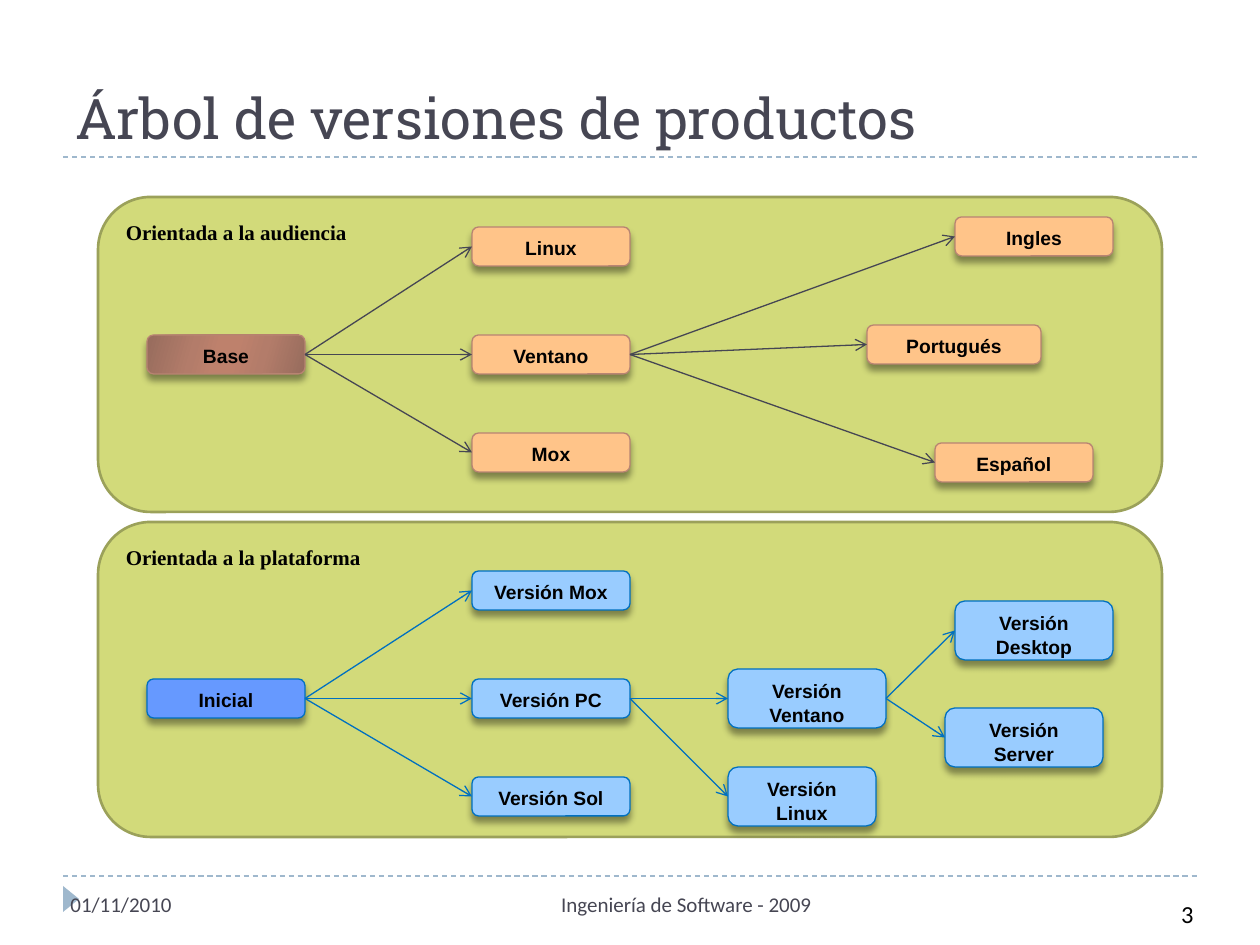
from lxml import etree
from pptx import Presentation, util as u
from pptx.dml.color import RGBColor
from pptx.enum import dml, shapes, text
from pptx.oxml import parse_xml
from pptx.oxml.ns import nsdecls, qn

SCALE = 914400 / 126
NODE_W, NODE_H, TALL_H = 158, 39, 59
DARK, MIST = "464653", "9FB8CD"
NODE_FONT = {"name": "Arial", "size": u.Pt(11), "bold": True}
LABEL_FONT = {"name": "Times New Roman", "size": u.Pt(12), "bold": True}
BASE_STOPS = [(0, "976C5D"), (30, "B37C6A"), (45, "BE816C"),
              (55, "BE816C"), (73, "B37C6A"), (100, "976C5D")]


def px(n):
    return u.Emu(round(n * SCALE))


def box_emu(*lengths):
    return [px(n) for n in lengths]


def rgb(value):
    return RGBColor.from_string(value)


def write(frame, words, font, color="000000", align=text.PP_ALIGN.LEFT, spacing=None):
    frame.word_wrap = True
    frame.text = words
    for paragraph in frame.paragraphs:
        paragraph.alignment = align
        paragraph.line_spacing = spacing
        for key, value in font.items():
            setattr(paragraph.font, key, value)
        paragraph.font.color.rgb = rgb(color)


def add_bullet(paragraph, hang):
    props = paragraph._p.get_or_add_pPr()
    props.set("marL", str(px(hang)))
    props.set("indent", str(-px(hang)))
    for tag, attrs in (("a:buClr", {}), ("a:buSzPct", {"val": "85000"}),
                       ("a:buFont", {"typeface": "Arial"}), ("a:buChar", {"char": "▪"})):
        part = etree.SubElement(props, qn(tag), attrs)
        if tag == "a:buClr":
            etree.SubElement(part, qn("a:srgbClr"), val="727CA3")


def add_rounded(slide, box, fill, line, width):
    rounded = slide.shapes.add_shape(shapes.MSO_SHAPE.ROUNDED_RECTANGLE, *box_emu(*box))
    rounded.shadow.inherit = False
    rounded.fill.solid()
    rounded.fill.fore_color.rgb = rgb(fill)
    rounded.line.color.rgb = rgb(line)
    rounded.line.width = u.Pt(width)
    rounded.text_frame.vertical_anchor = text.MSO_ANCHOR.TOP
    return rounded


def add_line(slide, ends, color):
    line = slide.shapes.add_connector(shapes.MSO_CONNECTOR.STRAIGHT, *box_emu(*ends))
    line.line.color.rgb = rgb(color)
    line.line.width = u.Pt(0.75)
    etree.SubElement(line._element.spPr, qn("a:effectLst"))
    return line


def add_node(slide, box, words, fill, line):
    node = add_rounded(slide, box, fill, line, 0.75)
    node._element.spPr.find(qn("a:effectLst")).append(parse_xml(
        f'<a:outerShdw {nsdecls("a")} blurRad="50800" dist="43180" dir="5400000" '
        'rotWithShape="0"><a:srgbClr val="000000"><a:alpha val="40000"/></a:srgbClr>'
        '</a:outerShdw>'))
    write(node.text_frame, words, NODE_FONT, align=text.PP_ALIGN.CENTER, spacing=1.05)
    return node


def add_gradient(node, stops):
    node.fill.gradient()
    gradient = node._element.spPr.find(qn("a:gradFill"))
    stop_list = gradient.find(qn("a:gsLst"))
    for old in list(stop_list):
        stop_list.remove(old)
    for position, color in stops:
        stop = etree.SubElement(stop_list, qn("a:gs"), pos=str(position * 1000))
        etree.SubElement(stop, qn("a:srgbClr"), val=color)
    gradient.find(qn("a:lin")).set("ang", str(16 * 60000))


def add_tree(slide, box, label, nodes, links, fill, border, arrow):
    """Panel with a version tree; node positions are relative to the panel."""
    left, top = box[:2]
    panel = add_rounded(slide, box, "D2DA7A", "9BA15A", 1.5)
    write(panel.text_frame, label, LABEL_FONT, spacing=1.05)
    placed = {}
    for key, (words, x, y, w, h) in nodes.items():
        placed[key] = add_node(slide, (left + x, top + y, w, h), words, fill, border)
    for start, targets in links.items():
        for target in targets:
            link = add_line(slide, (0, 0, 0, 0), arrow)
            link.begin_connect(placed[start], 3)
            link.end_connect(placed[target], 1)
            etree.SubElement(link._element.spPr.find(qn("a:ln")), qn("a:tailEnd"), type="arrow")
    return placed


def add_header(slide, box):
    left, top, width, height = box
    title = slide.shapes.title
    for key, value in zip(("left", "top", "width", "height"), box_emu(*box)):
        setattr(title, key, value)
    write(title.text_frame, "Árbol de versiones de productos",
          {"name": "Roboto Slab", "size": u.Pt(32)}, DARK)
    title.text_frame.auto_size = text.MSO_AUTO_SIZE.NONE
    title.text_frame.vertical_anchor = text.MSO_ANCHOR.BOTTOM
    add_rule(slide, left, top + height, width)


def add_rule(slide, left, top, width):
    rule = add_line(slide, (left, top, left + width, top), MIST)
    rule.line.dash_style = dml.MSO_LINE.DASH


def add_footer(slide, box):
    left, top, width, _ = box
    add_rule(slide, left, top, width)
    marker = slide.shapes.add_shape(shapes.MSO_SHAPE.ISOSCELES_TRIANGLE,
                                    *box_emu(left - 5, top + 15, 26, 16))
    marker.rotation = 90
    marker.shadow.inherit = False
    marker.fill.solid()
    marker.fill.fore_color.rgb = rgb(MIST)
    marker.line.fill.background()

    # Date, course and slide number: words, x, y, w, h, size, colour, align, bullet hang
    right = text.PP_ALIGN.RIGHT
    for words, x, y, w, h, size, color, align, hang in (
            ("01/11/2010", -5, 9, 294, 50, 12, DARK, text.PP_ALIGN.LEFT, 0),
            ("Ingeniería de Software - 2009", 362, 9, 399, 50, 12, DARK, right, 28),
            ("3", 902, 17, 241, 42, 14, "000000", right, None)):
        note = slide.shapes.add_textbox(*box_emu(left + x, top + y, w, h)).text_frame
        if hang is not None:
            add_bullet(note.paragraphs[0], hang)
        write(note, words, {"name": "Calibri", "size": u.Pt(size)}, color, align)


def main():
    deck = Presentation()
    deck.slide_width, deck.slide_height = px(1260), px(945)
    slide = deck.slides.add_slide(deck.slide_layouts[5])
    add_header(slide, (63, 21, 1134, 136))

    # Audience tree
    audience = add_tree(
        slide, (98, 197, 1064, 315), "Orientada a la audiencia",
        {"base": ("Base", 49, 138, NODE_W, NODE_H),
         "linux": ("Linux", 374, 30, NODE_W, NODE_H),
         "ventano": ("Ventano", 374, 138, NODE_W, NODE_H),
         "mox": ("Mox", 374, 236, NODE_W, NODE_H),
         "ingles": ("Ingles", 857, 20, NODE_W, NODE_H),
         "portugues": ("Portugués", 769, 128, 174, NODE_H),
         "espanol": ("Español", 837, 246, NODE_W, NODE_H)},
        {"base": ("ventano", "linux", "mox"),
         "ventano": ("ingles", "portugues", "espanol")},
        "FFC489", "B88472", DARK)
    add_gradient(audience["base"], BASE_STOPS)

    # Platform tree
    platform = add_tree(
        slide, (98, 522, 1064, 315), "Orientada a la plataforma",
        {"inicial": ("Inicial", 49, 157, NODE_W, NODE_H),
         "mox": ("Versión Mox", 374, 49, NODE_W, NODE_H),
         "pc": ("Versión PC", 374, 157, NODE_W, NODE_H),
         "sol": ("Versión Sol", 374, 255, NODE_W, NODE_H),
         "desktop": ("Versión Desktop", 857, 79, NODE_W, TALL_H),
         "ventano": ("Versión Ventano", 630, 147, NODE_W, TALL_H),
         "linux": ("Versión Linux", 630, 245, 148, TALL_H),
         "server": ("Versión\nServer", 847, 186, NODE_W, TALL_H)},
        {"inicial": ("pc", "mox", "sol"),
         "pc": ("ventano", "linux"),
         "ventano": ("desktop", "server")},
        "99CCFF", "0070C0", "0070C0")
    platform["inicial"].fill.fore_color.rgb = rgb("6699FF")

    add_footer(slide, (63, 876, 1134, 69))
    deck.save("out.pptx")


if __name__ == "__main__":
    main()
